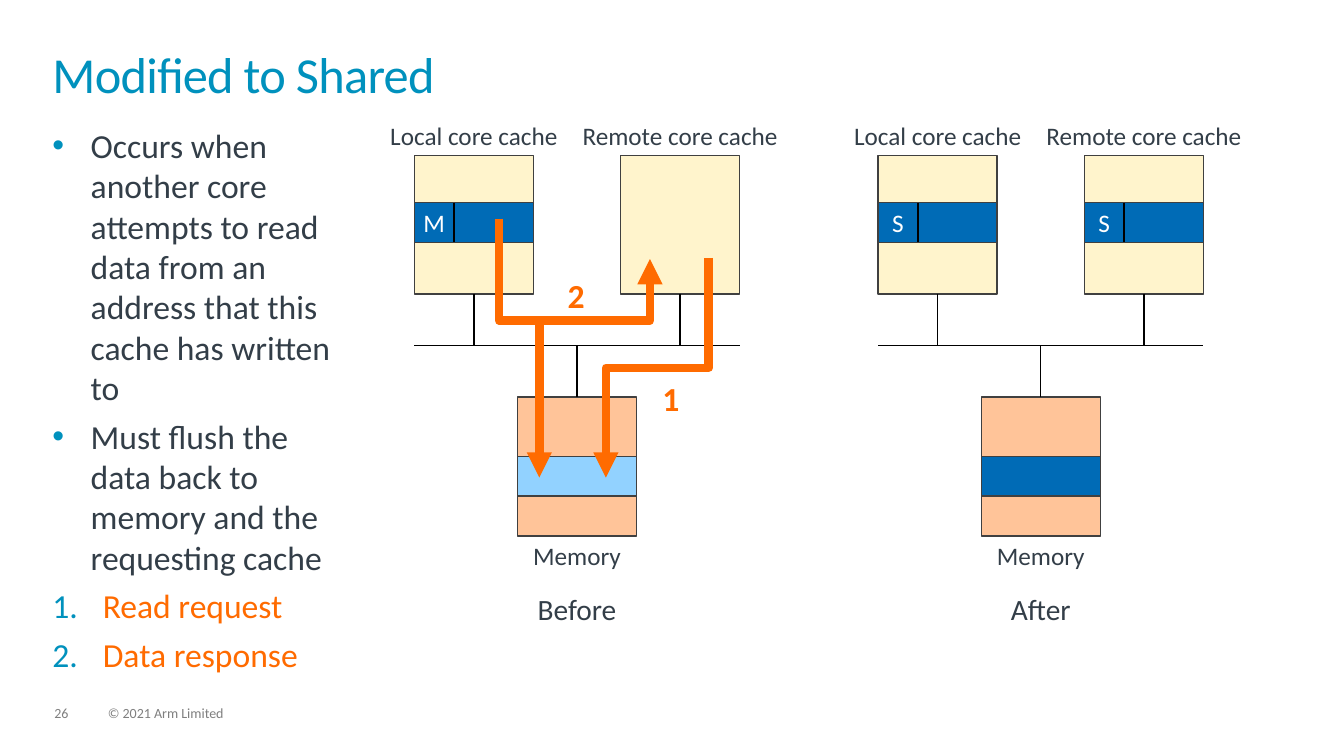
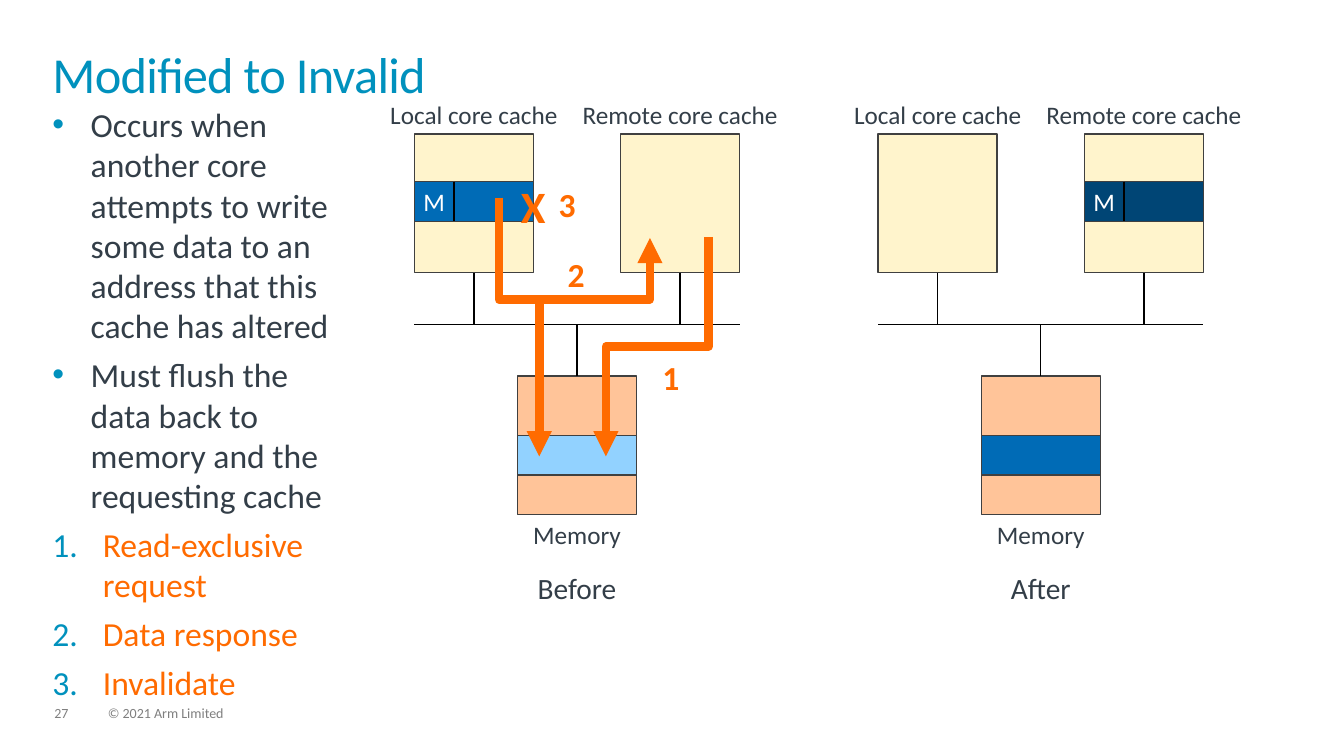
from dataclasses import dataclass

from lxml.etree import SubElement
from pptx import Presentation
from pptx.dml.color import RGBColor
from pptx.enum.shapes import MSO_CONNECTOR, MSO_SHAPE
from pptx.enum.text import MSO_ANCHOR, PP_ALIGN
from pptx.oxml.ns import qn
from pptx.util import Inches, Pt


@dataclass(frozen=True)
class Theme:
    font: str = "Calibri"
    accent: str = "0091BD"
    ink: str = "333E48"
    signal: str = "FF6B00"
    footer: str = "7F7F7F"
    outline: str = "404040"
    wire: str = "000000"
    state: str = "FFFFFF"
    cache: str = "FFF4CC"
    memory: str = "FFC499"
    current: str = "006BB6"
    stale: str = "92D2FF"
    written: str = "004575"
    title_size: int = 36
    body_size: int = 24
    cross_size: int = 32
    stage_size: int = 21
    label_size: int = 18
    footer_size: int = 10


THEME = Theme()
CELL = 1.18 / 3
CACHE_WIDTH, CACHE_HEIGHT = 3, 3.5
PITCH = 2.6
BUS_ROW, MEMORY_ROW = 4.8, 6.1
LINE_ROW, MEMORY_LINE_ROW = 1.2, 7.6
STAGE_LEFTS = {"Before": 4.11, "After": 8.71}

STEPS = [
    ("1", 6.47, 5.74, THEME.body_size),
    ("2", 4.08, 3.13, THEME.body_size),
    ("3", 3.85, 1.37, THEME.body_size),
    ("X", 3, 1.27, THEME.cross_size),
]
SIGNALS = [
    ((7.42, 2.59), (4.83, 8.13), 5.36),
    ((2.13, 1.6), (5.94, 2.62), 4.17),
    ((3.15, 4.22), (3.15, 8.13), None),
]
FLUSH = "Must flush the data back to memory and the requesting cache"

TRANSITIONS = [
    {
        "title": "Modified to Shared",
        "number": "26",
        "body_top": 1.24,
        "points": ["Occurs when another core attempts to read data from an address "
                   "that this cache has written to", FLUSH],
        "actions": ["Read request", "Data response"],
        "steps": STEPS[:2],
        "caches": {
            "Before": [("M", THEME.current), None],
            "After": [("S", THEME.current), ("S", THEME.current)],
        },
    },
    {
        "title": "Modified to Invalid",
        "number": "27",
        "body_top": 1.03,
        "points": ["Occurs when another core attempts to write some data to an address "
                   "that this cache has altered", FLUSH],
        "actions": ["Read-exclusive request", "Data response", "Invalidate"],
        "steps": STEPS,
        "caches": {
            "Before": [("M", THEME.current), None],
            "After": [None, ("M", THEME.written)],
        },
    },
]


def write(slide, box, lines, size, color, bold=False, align=PP_ALIGN.LEFT, spacing=0.9):
    frame = slide.shapes.add_textbox(*map(Inches, box)).text_frame
    frame.word_wrap = True
    frame.margin_left = frame.margin_right = frame.margin_top = frame.margin_bottom = 0
    frame.text = "\n".join(lines)
    for paragraph in frame.paragraphs:
        paragraph.alignment = align
        paragraph.line_spacing = spacing
        for run in paragraph.runs:
            run.font.name = THEME.font
            run.font.size = Pt(size)
            run.font.bold = bold
            run.font.color.rgb = RGBColor.from_string(color)
    return frame


def connect(slide, start, end, color=THEME.wire, width=1, turn=None, arrow=False):
    (x1, y1), (x2, y2) = start, end
    kind = MSO_CONNECTOR.STRAIGHT
    if turn is not None:
        kind = MSO_CONNECTOR.ELBOW
        across, down = abs(x2 - x1), y2 - y1
        middle_x, middle_y = (x1 + x2) / 2, (y1 + y2) / 2
        x1, x2 = middle_x - down / 2, middle_x + down / 2
        y1, y2 = middle_y - across / 2, middle_y + across / 2
    wire = slide.shapes.add_connector(kind, *map(Inches, (x1, y1, x2, y2)))
    wire.line.color.rgb = RGBColor.from_string(color)
    wire.line.width = Pt(width)
    properties = wire._element.spPr
    if turn is not None:
        transform = properties.find(qn("a:xfrm"))
        rightward = end[0] > start[0]
        transform.set("rot", str((270 if rightward else 90) * 60000))
        if rightward:
            transform.set("flipH", "1")
        adjustments = properties.find(qn("a:prstGeom")).find(qn("a:avLst"))
        share = round((turn - start[1]) / down * 100000)
        SubElement(adjustments, qn("a:gd"), name="adj1", fmla=f"val {share}")
    if arrow:
        SubElement(wire.line._get_or_add_ln(), qn("a:tailEnd"), type="triangle")
    SubElement(properties, qn("a:effectLst"))


deck = Presentation()
deck.slide_width, deck.slide_height = Inches(13.33), Inches(7.5)

for transition in TRANSITIONS:
    slide = deck.slides.add_slide(deck.slide_layouts[6])
    write(slide, (0.54, 7.01, 0.34, 0.15), [transition["number"]], THEME.footer_size, THEME.footer)
    write(slide, (1.07, 7.01, 5.07, 0.15), ["© 2021 Arm Limited"], THEME.footer_size, THEME.footer)
    title = write(slide, (0.52, 0.52, 12.28, 0.72), [transition["title"]],
                  THEME.title_size, THEME.accent, spacing=0.85)
    title.paragraphs[0].runs[0]._r.get_or_add_rPr().set("spc", "-50")

    points, actions = transition["points"], transition["actions"]
    body = write(slide, (0.52, transition["body_top"], 2.85, 4.47), points + actions,
                 THEME.body_size, THEME.ink, spacing=1.0)
    for index, paragraph in enumerate(body.paragraphs):
        is_action = index >= len(points)
        if index:
            paragraph.space_before = Pt(6)
        indent = Inches(0.5 if is_action else 0.38)
        layout = paragraph._p.get_or_add_pPr()
        layout.set("marL", str(indent))
        layout.set("indent", str(-indent))
        SubElement(SubElement(layout, qn("a:buClr")), qn("a:srgbClr"), val=THEME.accent)
        if is_action:
            SubElement(layout, qn("a:buFont"), typeface=THEME.font)
            SubElement(layout, qn("a:buAutoNum"), type="arabicPeriod")
            paragraph.runs[0].font.color.rgb = RGBColor.from_string(THEME.signal)
        else:
            SubElement(layout, qn("a:buFont"), typeface="Arial")
            SubElement(layout, qn("a:buChar"), char="•")

    top = transition["body_top"] + 0.3
    for stage, left in STAGE_LEFTS.items():
        memory_line = THEME.stale if stage == "Before" else THEME.current
        blocks = [
            (0, 0, CACHE_HEIGHT, THEME.cache, None),
            (2 * PITCH, 0, CACHE_HEIGHT, THEME.cache, None),
            (PITCH, MEMORY_ROW, CACHE_HEIGHT, THEME.memory, None),
            (PITCH, MEMORY_LINE_ROW, 1, memory_line, None),
        ]
        wires = [
            ((0, BUS_ROW), (2 * PITCH + CACHE_WIDTH, BUS_ROW)),
            ((PITCH + CACHE_WIDTH / 2, BUS_ROW), (PITCH + CACHE_WIDTH / 2, MEMORY_ROW)),
        ]
        labels = [
            ("Memory", PITCH, 9.8, THEME.label_size),
            (stage, PITCH, 11.1, THEME.stage_size),
        ]
        for side, held in enumerate(transition["caches"][stage]):
            column = side * 2 * PITCH
            center = column + CACHE_WIDTH / 2
            labels.append((("Local core cache", "Remote core cache")[side],
                           column, -0.8, THEME.label_size))
            wires.append(((center, CACHE_HEIGHT), (center, BUS_ROW)))
            if held:
                state, shade = held
                blocks.append((column, LINE_ROW, 1, shade, state))
                wires.append(((column + 1, LINE_ROW), (column + 1, LINE_ROW + 1)))

        for column, row, height, shade, state in blocks:
            block = slide.shapes.add_shape(
                MSO_SHAPE.RECTANGLE, Inches(left + column * CELL), Inches(top + row * CELL),
                Inches(CACHE_WIDTH * CELL), Inches(height * CELL))
            block.shadow.inherit = False
            block.fill.solid()
            block.fill.fore_color.rgb = RGBColor.from_string(shade)
            block.line.color.rgb = RGBColor.from_string(THEME.outline)
            block.line.width = Pt(1)
            if state:
                frame = block.text_frame
                frame.margin_left = frame.margin_top = frame.margin_bottom = 0
                frame.margin_right = Inches((CACHE_WIDTH - 1) * CELL)
                frame.vertical_anchor = MSO_ANCHOR.MIDDLE
                frame.text = state
                frame.paragraphs[0].alignment = PP_ALIGN.CENTER
                font = frame.paragraphs[0].runs[0].font
                font.name, font.size = THEME.font, Pt(THEME.label_size)
                font.color.rgb = RGBColor.from_string(THEME.state)

        for start, end in wires:
            connect(slide, *[(left + x * CELL, top + y * CELL) for x, y in (start, end)])

        for text, column, row, size in labels:
            center = left + (column + CACHE_WIDTH / 2) * CELL
            write(slide, (center - PITCH * CELL, top + row * CELL, 2 * PITCH * CELL, CELL),
                  [text], size, THEME.ink, align=PP_ALIGN.CENTER)

    left = STAGE_LEFTS["Before"]
    for start, end, turn in SIGNALS:
        ends = [(left + x * CELL, top + y * CELL) for x, y in (start, end)]
        connect(slide, *ends, THEME.signal, 6, turn and top + turn * CELL, arrow=True)
    for mark, column, row, size in transition["steps"]:
        write(slide, (left + (column - 0.5) * CELL, top + row * CELL, CELL, CELL), [mark],
              size, THEME.signal, bold=True, align=PP_ALIGN.CENTER)

deck.save("out.pptx")
